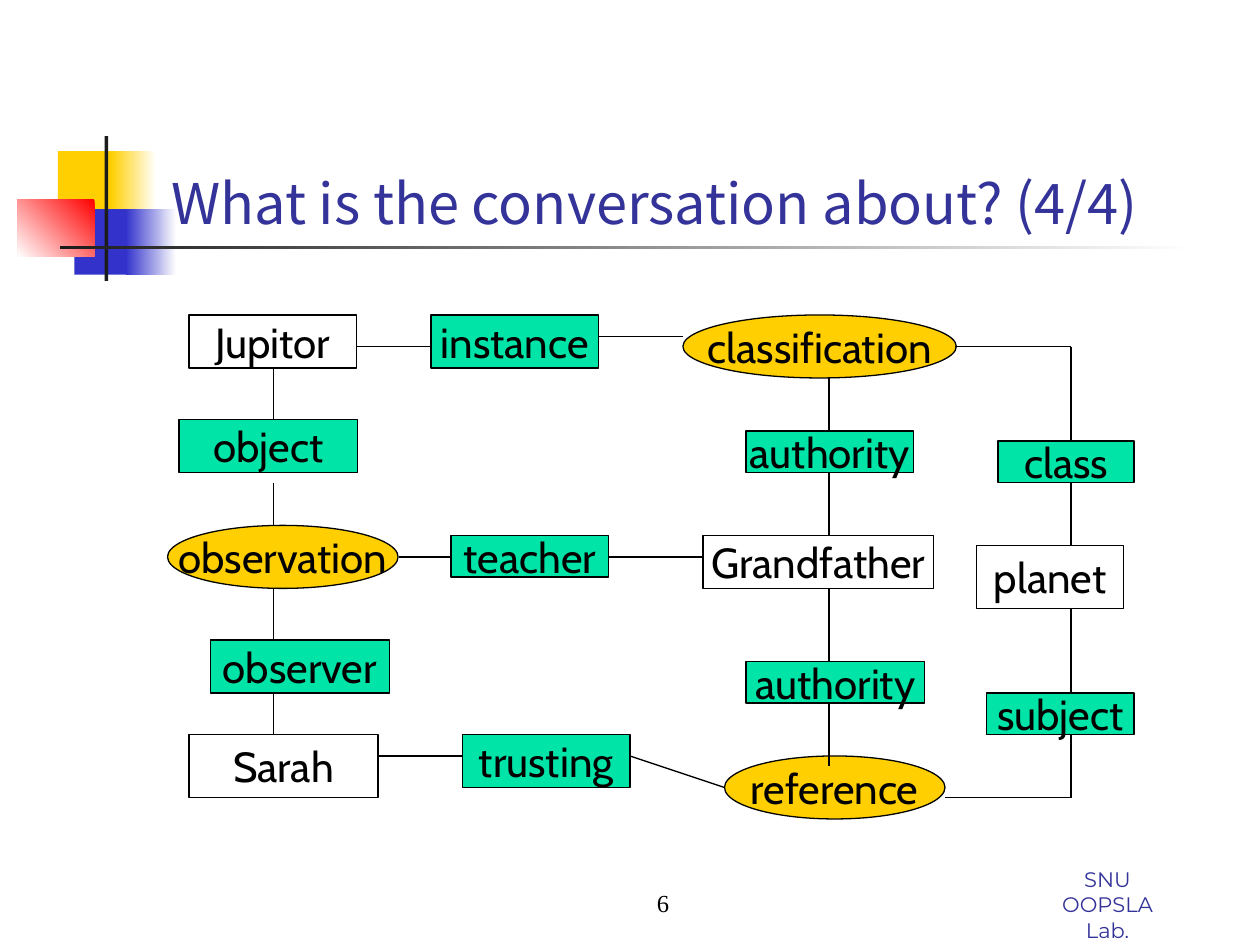
from dataclasses import dataclass

from lxml import etree
from pptx import Presentation
from pptx.dml.color import RGBColor
from pptx.enum.shapes import MSO_CONNECTOR, MSO_SHAPE
from pptx.enum.text import MSO_ANCHOR, PP_ALIGN
from pptx.oxml.ns import qn
from pptx.util import Inches, Pt

RECT = MSO_SHAPE.RECTANGLE
OVAL = MSO_SHAPE.OVAL
STRAIGHT = MSO_CONNECTOR.STRAIGHT
LEFT, CENTER, RIGHT = PP_ALIGN.LEFT, PP_ALIGN.CENTER, PP_ALIGN.RIGHT
TOP, MIDDLE, BOTTOM = MSO_ANCHOR.TOP, MSO_ANCHOR.MIDDLE, MSO_ANCHOR.BOTTOM


@dataclass(frozen=True)
class Theme:
    white: str = "FFFFFF"
    black: str = "000000"
    charcoal: str = "1C1C1C"
    yellow: str = "FFCF01"
    blue: str = "3333CC"
    red: str = "FF0000"
    green: str = "00E4A8"
    navy: str = "333399"
    title_font: str = "Noto Sans CJK KR"
    node_font: str = "Cabin"
    footer_font: str = "Montserrat"
    number_font: str = "Times New Roman"
    title_size: int = 32
    node_size: int = 24
    number_size: int = 14
    footer_size: int = 12
    line_width: float = 0.75


THEME = Theme()

ENTITIES = [
    ("Jupitor", 1.5, 2.5, 1.33, 0.42),
    ("Sarah", 1.5, 5.83, 1.5, 0.5),
    ("Grandfather", 5.58, 4.25, 1.83, 0.42),
    ("planet", 7.75, 4.33, 1.17, 0.5),
]
ROLES = [
    ("instance", 3.42, 2.5, 1.33, 0.42),
    ("object", 1.42, 3.33, 1.42, 0.42),
    ("teacher", 3.58, 4.25, 1.25, 0.33),
    ("observer", 1.67, 5.08, 1.42, 0.42),
    ("trusting", 3.67, 5.83, 1.33, 0.42),
    ("authority", 5.92, 3.42, 1.33, 0.33),
    ("authority", 5.92, 5.25, 1.42, 0.33),
    ("class", 7.92, 3.5, 1.08, 0.33),
    ("subject", 7.83, 5.5, 1.17, 0.33),
]
RELATIONS = [
    ("classification", 5.42, 2.5, 2.17, 0.5),
    ("observation", 1.33, 4.17, 1.83, 0.5),
    ("reference", 5.75, 6, 1.75, 0.5),
]
COLUMN_LINKS = {
    2.17: [(2.92, 3.33), (3.83, 4.17), (4.67, 5.08), (5.5, 5.83)],
    6.58: [(3, 3.42), (3.75, 4.25), (4.67, 5.25), (5.58, 6.08)],
    8.5: [(2.75, 3.5), (3.83, 4.33), (4.83, 5.5), (5.83, 6.33)],
}
ROW_LINKS = {
    2.67: [(4.75, 5.42)],
    2.75: [(2.83, 3.42), (7.58, 8.5)],
    4.42: [(3.17, 3.58), (4.83, 5.58)],
    6: [(3, 3.67)],
    6.33: [(7.5, 8.5)],
}


def color(value):
    return RGBColor.from_string(value)


def write(shape, lines, font, size, ink, align, anchor, wrap=True):
    frame = shape.text_frame
    frame.word_wrap = wrap
    frame.vertical_anchor = anchor
    for index, line in enumerate(lines):
        para = frame.paragraphs[0] if index == 0 else frame.add_paragraph()
        para.alignment = align
        span = para.add_run()
        span.text = line
        span.font.name = font
        span.font.size = Pt(size)
        span.font.color.rgb = color(ink)


def add_block(page, kind, place, fill):
    shape = page.shapes.add_shape(kind, *map(Inches, place))
    shape.shadow.inherit = False
    shape.fill.solid()
    shape.fill.fore_color.rgb = color(fill)
    shape.line.fill.background()
    return shape


def add_fade(page, place, start, end, angle=180):
    shape = add_block(page, RECT, place, start)
    shape.fill.gradient()
    shape.fill.gradient_angle = angle
    for stop, value in zip(shape.fill.gradient_stops, (start, end)):
        stop.color.rgb = color(value)


def add_node(page, kind, node, fill):
    label, *place = node
    shape = add_block(page, kind, place, fill)
    shape.line.color.rgb = color(THEME.black)
    shape.line.width = Pt(THEME.line_width)
    write(shape, [label], THEME.node_font, THEME.node_size, THEME.black,
          CENTER, MIDDLE, wrap=False)


def add_link(page, *ends):
    link = page.shapes.add_connector(STRAIGHT, *map(Inches, ends))
    link.line.color.rgb = color(THEME.black)
    link.line.width = Pt(THEME.line_width)
    etree.SubElement(link._element.spPr, qn("a:effectLst"))


def add_ornament(page):
    add_block(page, RECT, (0.46, 1.2, 0.48, 0.52), THEME.yellow)
    add_fade(page, (0.88, 1.2, 0.36, 0.52), THEME.white, THEME.yellow)
    add_block(page, RECT, (0.59, 1.66, 0.46, 0.52), THEME.blue)
    add_fade(page, (1, 1.66, 0.4, 0.52), THEME.white, THEME.blue)
    add_fade(page, (0.14, 1.58, 0.61, 0.46), THEME.red, THEME.white, 225)
    add_block(page, RECT, (0.83, 1.08, 0.03, 1.15), THEME.charcoal)
    add_fade(page, (0.48, 1.95, 9, 0.03), THEME.white, THEME.charcoal)


def set_title(page, text):
    title = page.shapes.title
    title.left, title.top, title.width, title.height = map(
        Inches, (1.26, 0.67, 8.52, 1.25))
    write(title, [text], THEME.title_font, THEME.title_size, THEME.navy,
          LEFT, BOTTOM)


def add_footer(page):
    lab = page.shapes.add_textbox(*map(Inches, (8.18, 6.83, 1.22, 0.5)))
    write(lab, ["SNU", "OOPSLA Lab."], THEME.footer_font, THEME.footer_size,
          THEME.navy, CENTER, TOP)
    number = page.shapes.add_textbox(*map(Inches, (3.33, 6.83, 2.08, 0.5)))
    write(number, ["6"], THEME.number_font, THEME.number_size, THEME.black,
          RIGHT, BOTTOM)


def add_diagram(page):
    for kind, nodes, fill in ((RECT, ENTITIES, THEME.white),
                              (RECT, ROLES, THEME.green),
                              (OVAL, RELATIONS, THEME.yellow)):
        for node in nodes:
            add_node(page, kind, node, fill)
    for x, spans in COLUMN_LINKS.items():
        for top, bottom in spans:
            add_link(page, x, top, x, bottom)
    for y, spans in ROW_LINKS.items():
        for left, right in spans:
            add_link(page, left, y, right, y)
    add_link(page, 5, 6, 5.75, 6.25)


def main():
    deck = Presentation()
    deck.slide_width, deck.slide_height = Inches(10), Inches(7.5)
    page = deck.slides.add_slide(deck.slide_layouts[5])
    add_ornament(page)
    set_title(page, "What is the conversation about? (4/4)")
    add_diagram(page)
    add_footer(page)
    deck.save("out.pptx")


if __name__ == "__main__":
    main()
